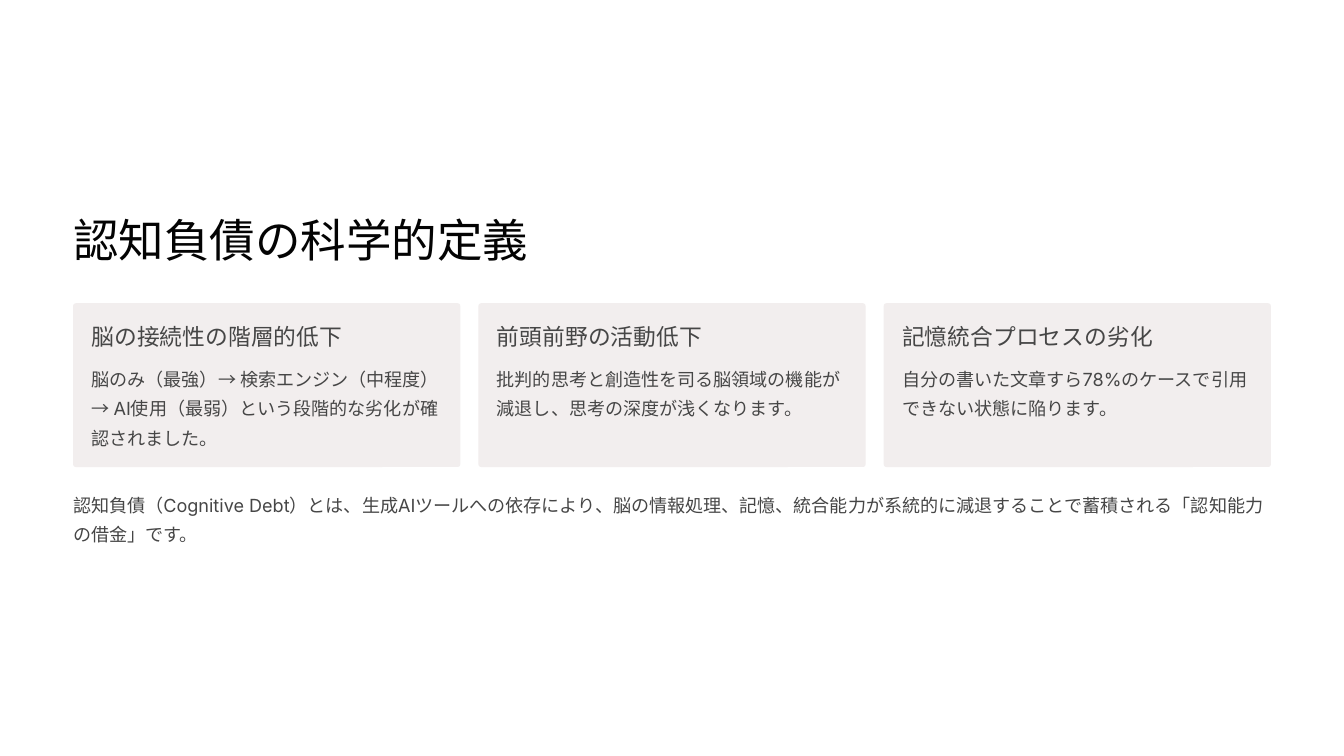
from pptx import Presentation
from pptx.dml.color import RGBColor
from pptx.enum.shapes import MSO_SHAPE
from pptx.enum.text import MSO_ANCHOR, MSO_AUTO_SIZE, PP_ALIGN
from pptx.util import Inches, Pt

ROUNDED = MSO_SHAPE.ROUNDED_RECTANGLE
TOP = MSO_ANCHOR.TOP
LEFT = PP_ALIGN.LEFT
NO_AUTOFIT = MSO_AUTO_SIZE.NONE

TITLE_FONT = "Karla"
BODY_FONT = "Inter"
BLACK = "030303"
GREY = "464646"
CARD_FILL = "F2EEEE"
WHITE = "FFFFFF"

MARGIN = 0.87
CONTENT_WIDTH = 14.26
CARD_TOP = 3.61
CARD_WIDTH = 4.61
CARD_HEIGHT = 1.95
CARD_PADDING = 0.22
LINE_HEIGHT = 0.35

CARDS = [
    ("脳の接続性の階層的低下", 2.98,
     "脳のみ（最強）→ 検索エンジン（中程度）→ AI使用（最弱）という段階的な劣化が確認されました。", 3),
    ("前頭前野の活動低下", 2.71,
     "批判的思考と創造性を司る脳領域の機能が減退し、思考の深度が浅くなります。", 2),
    ("記憶統合プロセスの劣化", 2.98,
     "自分の書いた文章すら78%のケースで引用できない状態に陥ります。", 2),
]
SUMMARY = (
    "認知負債（Cognitive Debt）とは、生成AIツールへの依存により、脳の情報処理、記憶、"
    "統合能力が系統的に減退することで蓄積される「認知能力の借金」です。"
)


def color(value):
    return RGBColor.from_string(value)


def place(shape, left, top, width, height):
    shape.left, shape.top = Inches(left), Inches(top)
    shape.width, shape.height = Inches(width), Inches(height)


def write(shape, text, font, size, spacing, text_color, wrap):
    frame = shape.text_frame
    frame.margin_left = frame.margin_right = 0
    frame.margin_top = frame.margin_bottom = 0
    frame.auto_size = NO_AUTOFIT
    frame.word_wrap = wrap
    frame.vertical_anchor = TOP
    para = frame.paragraphs[0]
    para.text = text
    para.alignment = LEFT
    para.line_spacing = Pt(spacing)
    para.space_before = Pt(0)
    para.font.name = font
    para.font.size = Pt(size)
    para.font.color.rgb = color(text_color)


def add_text(page, left, top, width, height):
    return page.shapes.add_textbox(
        Inches(left), Inches(top), Inches(width), Inches(height))


def add_title(page, left, top):
    title = page.shapes.title
    place(title, left, top, 5.43, 0.68)
    write(title, "認知負債の科学的定義", TITLE_FONT, 39, 48.5, BLACK, False)


def add_body(page, text, left, top, width, lines):
    box = add_text(page, left, top, width, lines * LINE_HEIGHT)
    write(box, text, BODY_FONT, 15.5, 25, GREY, True)


def add_card(page, left, top, width, height, card):
    heading, heading_width, body, lines = card
    panel = page.shapes.add_shape(
        ROUNDED, Inches(left), Inches(top), Inches(width), Inches(height))
    panel.adjustments[0] = 0.017
    panel.shadow.inherit = False
    panel.fill.solid()
    panel.fill.fore_color.rgb = color(CARD_FILL)
    panel.line.fill.background()

    inner_left = left + CARD_PADDING
    inner_top = top + CARD_PADDING
    box = add_text(page, inner_left, inner_top, heading_width, 0.34)
    write(box, heading, TITLE_FONT, 19.5, 24, GREY, False)
    add_body(page, body, inner_left, inner_top + 0.47,
             width - 2 * CARD_PADDING, lines)


def add_cards(page, left, top, width, height):
    step = (width - CARD_WIDTH) / (len(CARDS) - 1)
    for index, card in enumerate(CARDS):
        add_card(page, left + index * step, top, CARD_WIDTH, height, card)


def build_definition_slide(deck):
    page = deck.slides.add_slide(deck.slide_layouts[5])
    page.background.fill.solid()
    page.background.fill.fore_color.rgb = color(WHITE)
    add_title(page, MARGIN, 2.5)
    add_cards(page, MARGIN, CARD_TOP, CONTENT_WIDTH, CARD_HEIGHT)
    add_body(page, SUMMARY, MARGIN, 5.8, CONTENT_WIDTH, 2)


def main():
    deck = Presentation()
    deck.slide_width = Inches(16)
    deck.slide_height = Inches(9)
    build_definition_slide(deck)
    deck.save("out.pptx")


if __name__ == "__main__":
    main()
